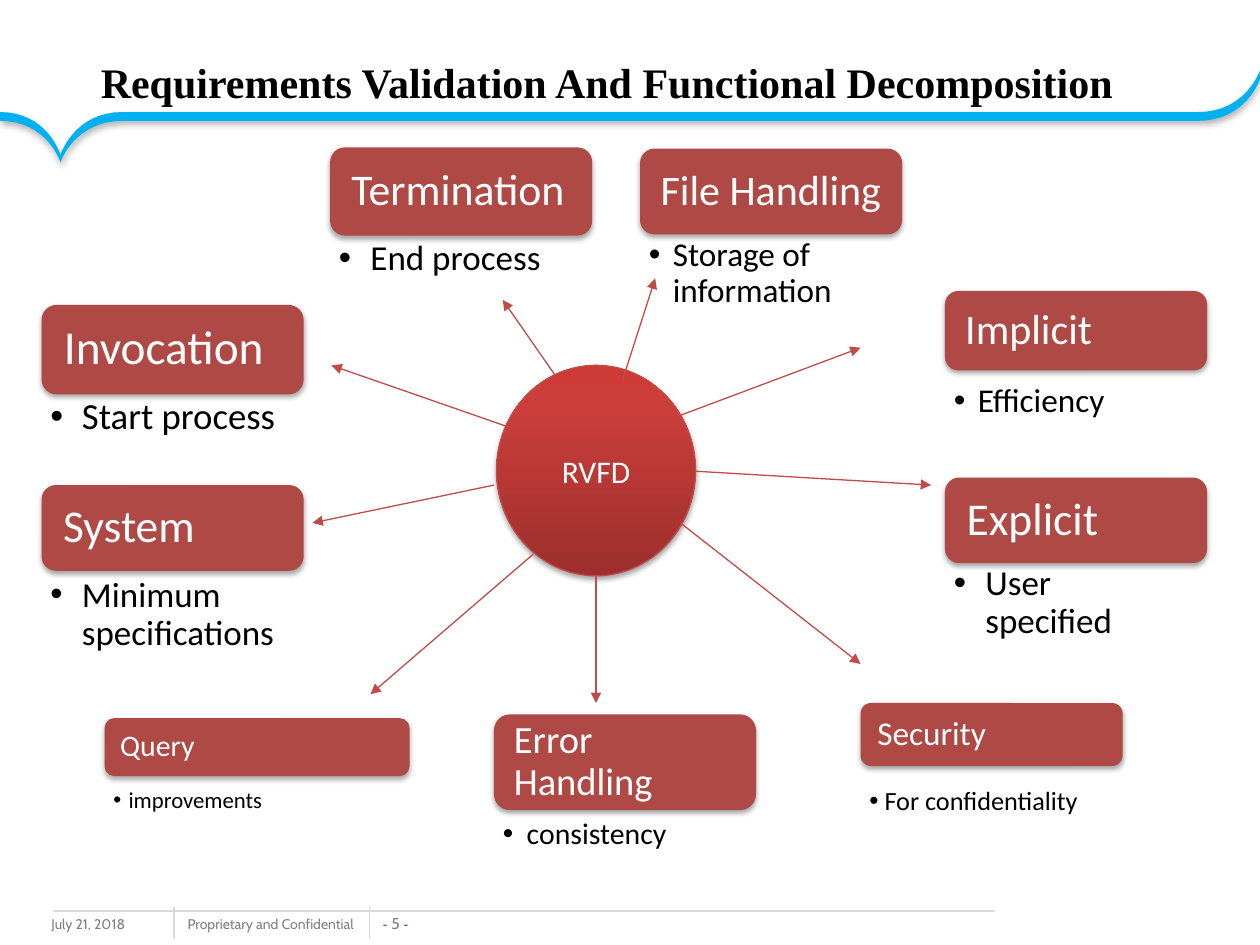
from typing import NamedTuple

from lxml.etree import SubElement
from pptx import Presentation
from pptx.dml.color import RGBColor
from pptx.enum.shapes import MSO_CONNECTOR, MSO_SHAPE
from pptx.enum.text import MSO_ANCHOR, PP_ALIGN
from pptx.oxml import parse_xml
from pptx.oxml.ns import nsdecls, qn
from pptx.util import Inches, Pt

WHITE = RGBColor(0xFF, 0xFF, 0xFF)
BLACK = RGBColor(0, 0, 0)
BRICK = RGBColor(0xAE, 0x49, 0x46)
RED = RGBColor(0xBF, 0x4C, 0x48)
SKY = RGBColor(0x00, 0xB0, 0xF0)
GREY = RGBColor(0x80, 0x80, 0x80)
PALE = RGBColor(0xD9, 0xD9, 0xD9)
NAVY = RGBColor(0x1F, 0x49, 0x7D)

GLOW = ((0, "9C2F2D"), (80, "CB3E3A"), (100, "CE3B37"))


class Card(NamedTuple):
    """A labelled box with one bullet below it."""
    label: str
    size: int
    left: float
    top: float
    width: float
    height: float
    note: str
    small: int
    low: float
    tall: float
    dent: float


class Ray(NamedTuple):
    """The two ends of a straight line."""
    x1: float
    y1: float
    x2: float
    y2: float


CARDS = [
    Card("File Handling", 24, 5.08, 1.18, 2.08, 0.68, "Storage of information", 19, 1.86, 0.65, 0.19),
    Card("Query", 17, 0.83, 5.7, 2.42, 0.46, "improvements", 13, 6.23, 0.51, 0.12),
    Card("Error Handling", 22, 3.92, 5.67, 2.08, 0.76, "consistency", 17, 6.47, 0.4, 0.19),
    Card("System", 26, 0.33, 3.85, 2.08, 0.68, "Minimum specifications", 20, 4.55, 0.69, 0.25),
    Card("Invocation", 27, 0.33, 2.42, 2.08, 0.71, "Start process", 21, 3.13, 0.49, 0.25),
    Card("Termination", 25, 2.62, 1.17, 2.08, 0.7, "End process", 20, 1.88, 0.45, 0.25),
    Card("Implicit", 24, 7.5, 2.31, 2.08, 0.63, "Efficiency", 19, 3.02, 0.63, 0.19),
    Card("Explicit", 26, 7.5, 3.79, 2.08, 0.68, "User specified", 20, 4.46, 0.69, 0.25),
    Card("Security", 19, 6.83, 5.58, 2.08, 0.5, "For confidentiality", 15, 6.22, 0.65, 0.12),
]

RAYS = [
    Ray(4.94, 3.02, 5.2, 2.21), Ray(5.39, 3.3, 6.83, 2.76), Ray(5.52, 3.74, 7.39, 3.85),
    Ray(5.4, 4.15, 6.83, 5.27), Ray(4.73, 4.57, 4.73, 5.58), Ray(4.23, 4.4, 2.94, 5.51),
    Ray(3.92, 3.85, 2.48, 4.15), Ray(4.01, 3.38, 2.63, 2.9), Ray(4.4, 2.97, 3.99, 2.38),
]

RULES = [Ray(1.38, 7.2, 1.38, 7.45), Ray(2.93, 7.2, 2.93, 7.45), Ray(7.9, 7.23, 0.42, 7.23)]

WAVE = [
    [(0.97, 0.89)],
    [(0.59, 0.89), (0.48, 1.23), (0.48, 1.23)],
    [(0.48, 1.23), (0.38, 0.89), (0, 0.89)],
    [(0, 0.96)],
    [(0.38, 0.96), (0.48, 1.29), (0.48, 1.29)],
    [(0.48, 1.29), (0.59, 0.96), (0.97, 0.96)],
    [(9.51, 0.96)],
    [(9.89, 0.96), (10, 0.63), (10, 0.63)],
    [(10, 0.56)],
    [(10, 0.56), (9.89, 0.89), (9.51, 0.89)],
]


def trace(start: tuple, parts: list, steps: int = 16) -> list:
    """Turn lines and cubic curves into points."""
    pts, pen = [], start
    for part in parts:
        if len(part) == 1:
            pts.append(part[0])
        else:
            for i in range(1, steps + 1):
                t = i / steps
                u = 1 - t
                mix = (u**3, 3 * u * u * t, 3 * u * t * t, t**3)
                quad = (pen, *part)
                pts.append(tuple(sum(m * p[k] for m, p in zip(mix, quad)) for k in (0, 1)))
        pen = part[-1]
    return [(Inches(x), Inches(y)) for x, y in pts]


def shade(shape, alpha: int, blur: float, dist: float) -> None:
    """Give a shape a soft shadow straight below it."""
    shape.shadow.inherit = False
    glow = shape._element.spPr.find(qn("a:effectLst"))
    drop = SubElement(glow, qn("a:outerShdw"), blurRad=str(Pt(blur)), dist=str(Pt(dist)),
                      dir="5400000", rotWithShape="0")
    tone = SubElement(drop, qn("a:srgbClr"), val="000000")
    SubElement(tone, qn("a:alpha"), val=str(alpha * 1000))


def write(para, text: str, face: str, size: float, color: RGBColor, bold: bool = False) -> None:
    """Add one run."""
    run = para.add_run()
    run.text = text
    font = run.font
    font.name, font.size, font.bold = face, Pt(size), bold
    font.color.rgb = color


def inset(frame, left: float, top: float, right: float, bottom: float) -> None:
    """Set the margins of a text frame."""
    frame.margin_left, frame.margin_top = Inches(left), Inches(top)
    frame.margin_right, frame.margin_bottom = Inches(right), Inches(bottom)


def box(slide, left: float, top: float, width: float, height: float, wrap: bool = True):
    """Add a text box and return its frame."""
    frame = slide.shapes.add_textbox(Inches(left), Inches(top), Inches(width), Inches(height)).text_frame
    frame.word_wrap = wrap
    return frame


def line(slide, ray: Ray, color: RGBColor, arrow: bool = False) -> None:
    """Draw a line, with an arrowhead at its end if asked."""
    link = slide.shapes.add_connector(MSO_CONNECTOR.STRAIGHT, *(Inches(v) for v in ray))
    link.line.color.rgb = color
    link.line.width = Pt(0.75)
    if arrow:
        SubElement(link.line._get_or_add_ln(), qn("a:tailEnd"), type="triangle")
    SubElement(link._element.spPr, qn("a:effectLst"))


def draw(slide, card: Card) -> None:
    """Draw a card and its bullet."""
    tile = slide.shapes.add_shape(MSO_SHAPE.ROUNDED_RECTANGLE, Inches(card.left), Inches(card.top),
                                  Inches(card.width), Inches(card.height))
    tile.fill.solid()
    tile.fill.fore_color.rgb = BRICK
    tile.line.fill.background()
    shade(tile, 35, 3.1, 1.8)
    frame = tile.text_frame
    frame.word_wrap = True
    frame.vertical_anchor = MSO_ANCHOR.MIDDLE
    inset(frame, *[card.size / 240 + 0.03] * 4)
    head = frame.paragraphs[0]
    head.alignment, head.line_spacing = PP_ALIGN.LEFT, 0.9
    write(head, card.label, "Calibri", card.size, WHITE)

    frame = box(slide, card.left, card.low, card.width, card.tall)
    inset(frame, 0.07, 0.03, card.small / 100, 0.03)
    item = frame.paragraphs[0]
    item.line_spacing = 0.9
    props = item._p.get_or_add_pPr()
    props.set("marL", str(Inches(card.dent)))
    props.set("indent", str(-Inches(card.dent)))
    SubElement(props, qn("a:buFont"), typeface="Arial")
    SubElement(props, qn("a:buChar"), char="•")
    write(item, card.note, "Calibri", card.small, BLACK)


def hub(slide) -> None:
    """Draw the round centre."""
    disc = slide.shapes.add_shape(MSO_SHAPE.OVAL, Inches(3.94), Inches(2.9), Inches(1.58), Inches(1.67))
    disc.line.color.rgb = RED
    disc.line.width = Pt(0.75)
    stops = "".join(f'<a:gs pos="{p * 1000}"><a:srgbClr val="{c}"/></a:gs>' for p, c in GLOW)
    fill = parse_xml(f'<a:gradFill {nsdecls("a")} rotWithShape="1"><a:gsLst>{stops}</a:gsLst>'
                     '<a:lin ang="16200000" scaled="0"/></a:gradFill>')
    disc._element.spPr.find(qn("a:prstGeom")).addnext(fill)
    shade(disc, 35, 3.1, 1.8)
    disc.text_frame.vertical_anchor = MSO_ANCHOR.MIDDLE
    para = disc.text_frame.paragraphs[0]
    para.alignment = PP_ALIGN.CENTER
    write(para, "RVFD", "Calibri", 18, WHITE)


def base(slide) -> None:
    """Draw the footer and the blue wave."""
    write(box(slide, 0.31, 7.22, 1.33, 0.25).paragraphs[0], "July 21, 2018", "Cabin", 8, GREY)
    write(box(slide, 1.39, 7.22, 1.57, 0.24, False).paragraphs[0],
          "Proprietary and Confidential", "Cabin", 8, GREY)
    frame = box(slide, 3.01, 7.25, 0.26, 0.15, False)
    inset(frame, 0, 0, 0, 0)
    frame.vertical_anchor = MSO_ANCHOR.BOTTOM
    para = frame.paragraphs[0]
    para.alignment = PP_ALIGN.CENTER
    for text, face, size, color in (("- ", "Arial", 8, NAVY), ("5 ", "Cabin", 9, GREY), ("-", "Arial", 8, NAVY)):
        write(para, text, face, size, color)
    for rule in RULES:
        line(slide, rule, PALE)
    pen = slide.shapes.build_freeform(Inches(9.51), Inches(0.89))
    pen.add_line_segments(trace((9.51, 0.89), WAVE))
    wave = pen.convert_to_shape()
    wave.fill.solid()
    wave.fill.fore_color.rgb = SKY
    wave.line.fill.background()
    shade(wave, 31, 4, 2)


def main() -> None:
    """Build and save the slide."""
    deck = Presentation()
    deck.slide_width, deck.slide_height = Inches(10), Inches(7.5)
    slide = deck.slides.add_slide(deck.slide_layouts[5])
    base(slide)
    title = slide.shapes.title
    title.left, title.top, title.width, title.height = (Inches(v) for v in (0.7, 0.4, 8.77, 0.5))
    title.text_frame.vertical_anchor = MSO_ANCHOR.TOP
    para = title.text_frame.paragraphs[0]
    para.alignment = PP_ALIGN.LEFT
    write(para, "Requirements Validation And Functional Decomposition", "Times New Roman", 24, BLACK, True)
    for card in CARDS:
        draw(slide, card)
    hub(slide)
    for ray in RAYS:
        line(slide, ray, RED, True)
    deck.save("out.pptx")


main()
